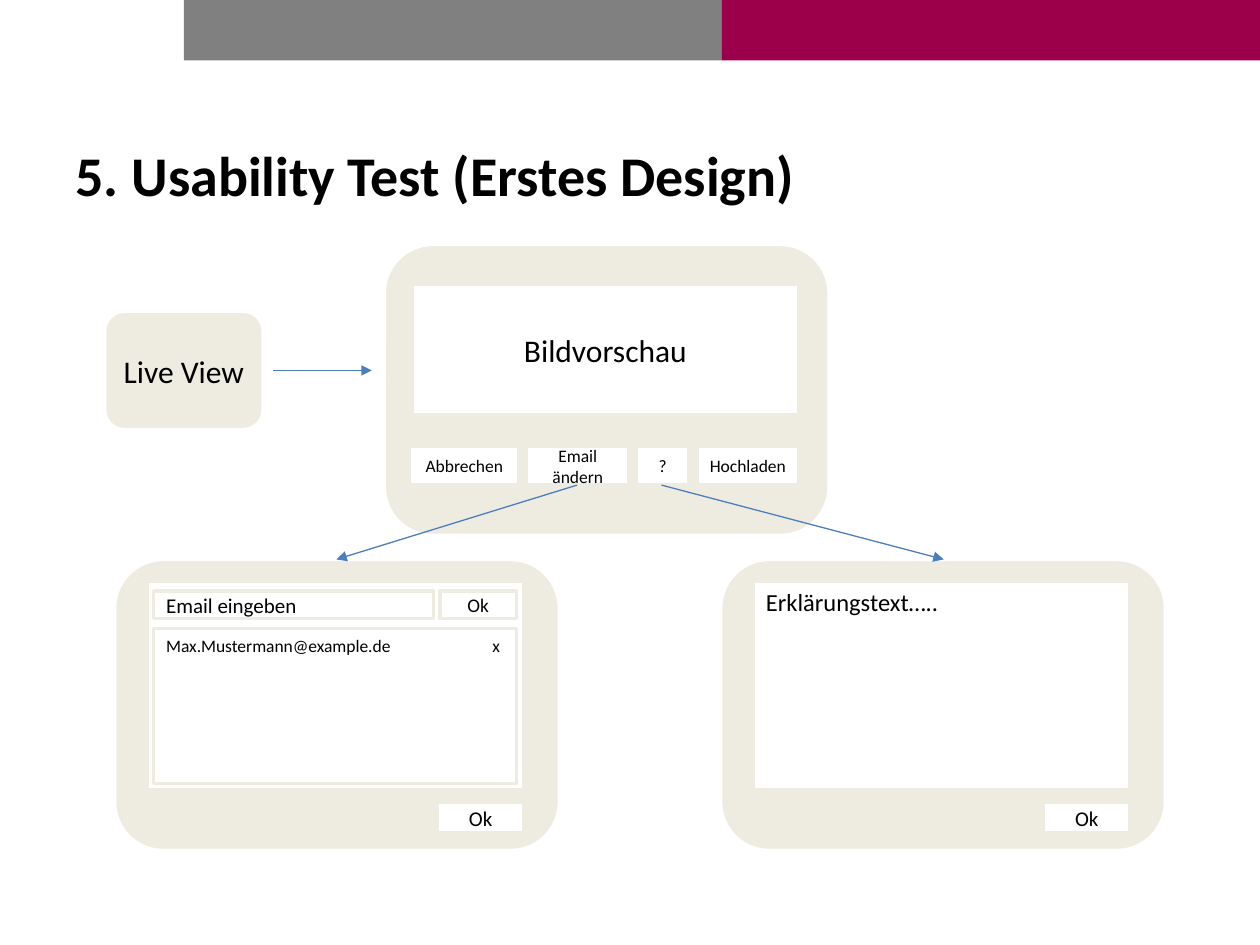
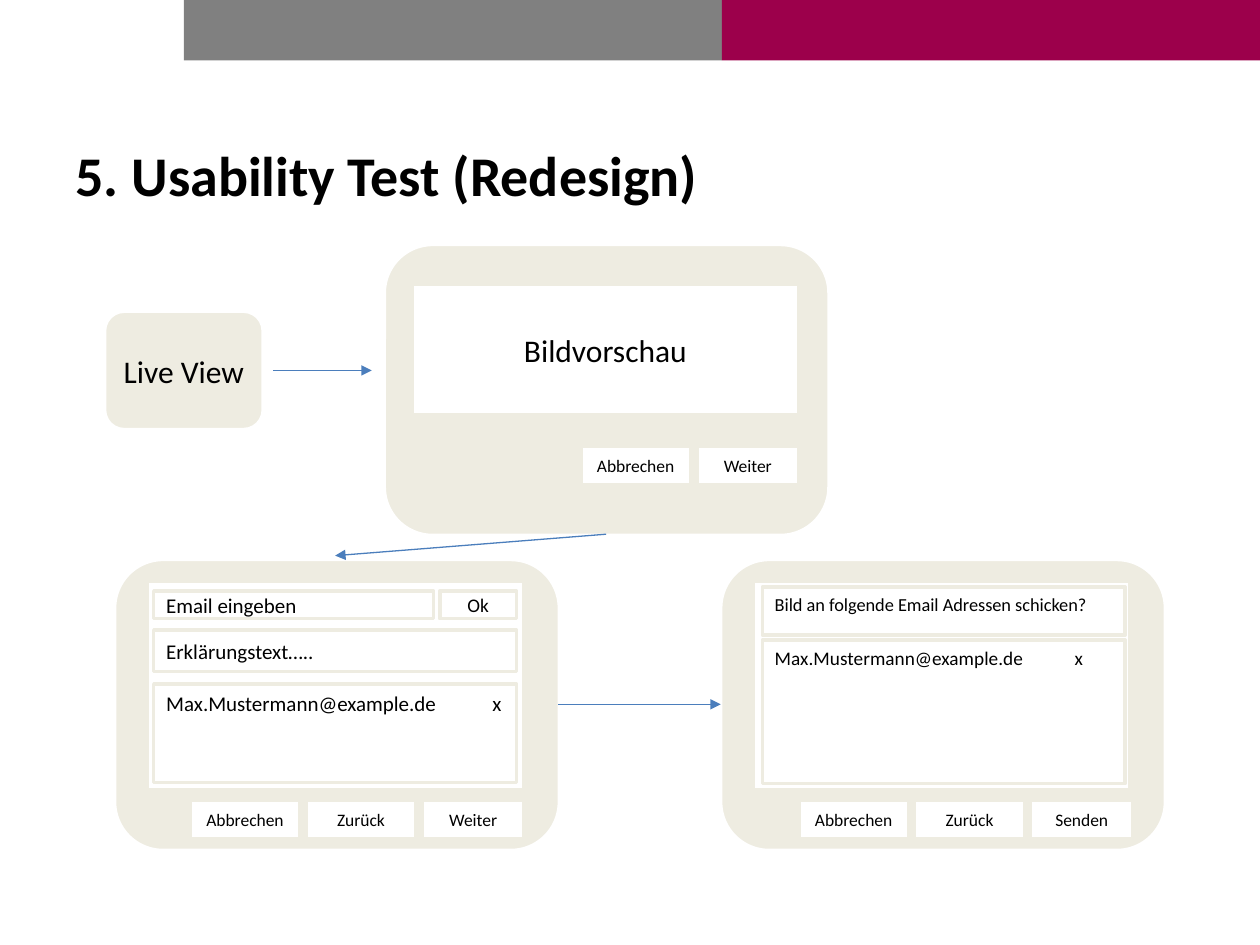
from lxml import etree
from pptx import Presentation
from pptx import util as u
from pptx.dml import color
from pptx.enum import shapes, text
from pptx.oxml import ns

COLOURS = {
    "white": "FFFFFF",
    "black": "000000",
    "grey": "808080",
    "crimson": "9C004B",
    "sand": "EEECE1",
    "blue": "4B7EBC",
}
FONT = "Calibri"
LEFT, CENTER = text.PP_ALIGN.LEFT, text.PP_ALIGN.CENTER
TOP, MIDDLE = text.MSO_ANCHOR.TOP, text.MSO_ANCHOR.MIDDLE
RECT = shapes.MSO_SHAPE.RECTANGLE
ROUNDED = shapes.MSO_SHAPE.ROUNDED_RECTANGLE
EMAIL = "Max.Mustermann@example.de\tx"
INPUT_LEFT, REVIEW_LEFT = 0.91, 5.72
LOWER_TOP = 4.44


def rgb(name):
    return color.RGBColor.from_string(COLOURS[name])


def add_xml(parent, tag, **attributes):
    return etree.SubElement(parent, ns.qn(tag), **attributes)


def write(shape, content, size=12, bold=False, align=LEFT, anchor=MIDDLE, tab=None):
    frame = shape.text_frame
    frame.word_wrap = True
    frame.auto_size = text.MSO_AUTO_SIZE.NONE
    frame.vertical_anchor = anchor
    para = frame.paragraphs[0]
    para.alignment = align
    if tab:
        stops = add_xml(para._p.get_or_add_pPr(), "a:tabLst")
        add_xml(stops, "a:tab", pos=str(u.Inches(tab)), algn="l")
    span = para.add_run()
    span.text = content
    span.font.name = FONT
    span.font.size = u.Pt(size)
    span.font.bold = bold
    span.font.color.rgb = rgb("black")


class Sketch:
    def __init__(self, deck):
        self.deck = deck
        self.layout = deck.slide_layouts[5]
        self.page = None
        title = self.layout.placeholders[0]
        title.left, title.top = u.Inches(0.5), u.Inches(1.07)
        title.width, title.height = u.Inches(9), u.Inches(0.63)

    def start_page(self, title):
        self.page = self.deck.slides.add_slide(self.layout)
        write(self.page.shapes.title, title, size=32, bold=True)

    def shape(self, kind, left, top, width, height, fill, line=None):
        box = self.page.shapes.add_shape(
            kind, u.Inches(left), u.Inches(top), u.Inches(width), u.Inches(height)
        )
        box.shadow.inherit = False
        box.fill.solid()
        box.fill.fore_color.rgb = rgb(fill)
        if line:
            box.line.color.rgb = rgb(line)
            box.line.width = u.Pt(2)
        else:
            box.line.fill.background()
        return box

    def share_bands(self):
        tree = self.deck.slide_master.shapes.element
        for index, fill in enumerate(("grey", "crimson")):
            band = self.shape(RECT, 1.46 + index * 4.27, -0.03, 4.27, 0.51, fill)
            band.element.nvSpPr.cNvPr.set("id", str(100 + index))
            tree.insert(2 + index, band.element)

    def panel(self, left, top, width=3.53, height=2.31):
        return self.shape(ROUNDED, left, top, width, height, "sand", "white")

    def field(self, left, top, width, height, content="", **style):
        box = self.shape(RECT, left, top, width, height, "white", "sand")
        if content:
            write(box, content, **style)
        return box

    def dialog(self, left, content="", **style):
        self.panel(left, LOWER_TOP)
        self.field(left + 0.26, LOWER_TOP + 0.17, 2.99, 1.66, content, **style)

    def buttons(self, right, top, labels, gap=0.05):
        for label, width in reversed(labels):
            self.field(right - width, top, width, 0.31, label, size=10, align=CENTER)
            right -= width + gap

    def ok_button(self, left):
        self.field(left + 2.56, 6.37, 0.69, 0.24, "Ok", align=CENTER)

    def arrow(self, start, end):
        line = self.page.shapes.add_connector(
            shapes.MSO_CONNECTOR.STRAIGHT, *map(u.Inches, start + end)
        )
        line.line.color.rgb = rgb("blue")
        line.line.width = u.Pt(0.75)
        properties = line.element.spPr
        add_xml(properties.find(ns.qn("a:ln")), "a:tailEnd", type="triangle")
        add_xml(properties, "a:effectLst")

    def preview(self, labels, gap=0.05):
        write(self.panel(0.83, 2.47, 1.26, 0.94), "Live View", size=18, align=CENTER)
        self.arrow((2.17, 2.94), (2.95, 2.94))
        self.panel(3.05, 1.94)
        self.field(3.27, 2.26, 3.07, 1.03, "Bildvorschau", size=18, align=CENTER)
        self.buttons(6.34, 3.54, labels, gap)

    def email_input(self):
        self.dialog(INPUT_LEFT)
        self.field(1.22, 4.69, 2.22, 0.22, "Email eingeben")
        self.field(3.49, 4.69, 0.61, 0.22, "Ok", size=11, align=CENTER)


def first_design(sketch):
    sketch.start_page("5. Usability Test (Erstes Design)")
    sketch.share_bands()
    sketch.preview(
        [("Abbrechen", 0.87), ("Email ändern", 0.81), ("?", 0.42), ("Hochladen", 0.81)],
        gap=0.06,
    )
    sketch.email_input()
    sketch.field(1.22, 4.99, 2.88, 1.23, EMAIL, size=10, anchor=TOP, tab=2.59)
    sketch.dialog(REVIEW_LEFT, "Erklärungstext…..", size=14, anchor=TOP)
    for left in (INPUT_LEFT, REVIEW_LEFT):
        sketch.ok_button(left)
    sketch.arrow((4.58, 3.85), (2.67, LOWER_TOP))
    sketch.arrow((5.25, 3.85), (7.49, LOWER_TOP))


def redesign(sketch):
    sketch.start_page("5. Usability Test (Redesign)")
    sketch.preview([("Abbrechen", 0.87), ("Weiter", 0.81)])
    sketch.email_input()
    sketch.field(1.22, 5, 2.88, 0.33, "Erklärungstext…..")
    sketch.field(1.22, 5.43, 2.88, 0.78, EMAIL, anchor=TOP, tab=2.59)
    sketch.dialog(REVIEW_LEFT)
    sketch.field(6.05, 5.08, 2.88, 1.14, EMAIL, size=11, anchor=TOP, tab=2.38)
    sketch.field(
        6.05, 4.66, 2.88, 0.38,
        "Bild an folgende Email Adressen schicken?", size=10.5, anchor=TOP,
    )
    for right, action in ((4.16, "Weiter"), (8.99, "Senden")):
        sketch.buttons(right, 6.35, [("Abbrechen", 0.87), ("Zurück", 0.87), (action, 0.81)])
    sketch.arrow((4.81, 4.24), (2.66, 4.41))
    sketch.arrow((4.43, 5.59), (REVIEW_LEFT, 5.59))


def main():
    deck = Presentation()
    deck.slide_width, deck.slide_height = u.Inches(10), u.Inches(7.5)
    sketch = Sketch(deck)
    first_design(sketch)
    redesign(sketch)
    deck.save("out.pptx")


if __name__ == "__main__":
    main()
